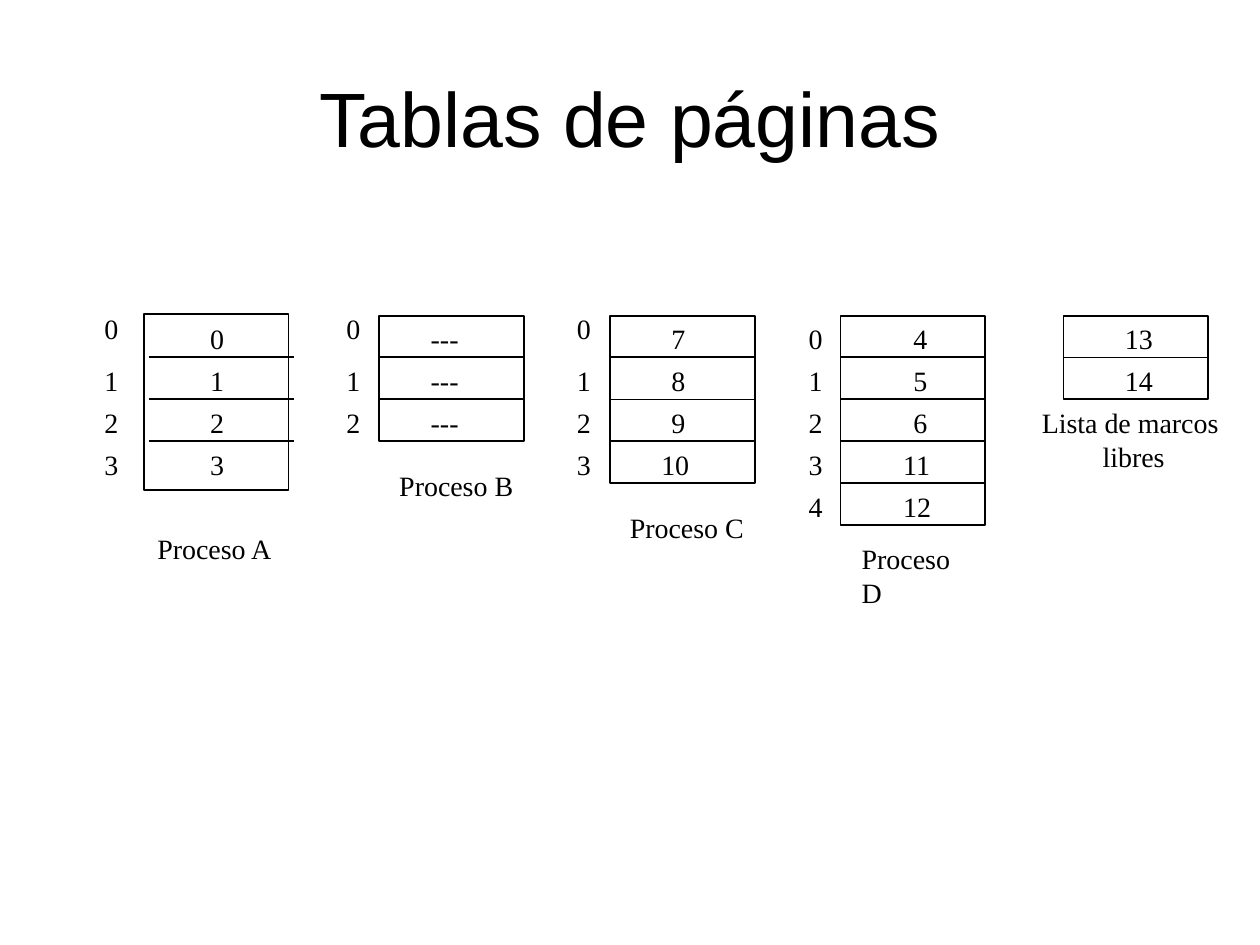
from lxml import etree
from pptx import Presentation
from pptx.dml.color import RGBColor
from pptx.enum.shapes import MSO_CONNECTOR, MSO_SHAPE
from pptx.enum.text import MSO_ANCHOR, MSO_AUTO_SIZE, PP_ALIGN
from pptx.oxml.ns import qn
from pptx.util import Inches, Pt

RECT, LINE = MSO_SHAPE.RECTANGLE, MSO_CONNECTOR.STRAIGHT
LEFT, MID = PP_ALIGN.LEFT, PP_ALIGN.CENTER
TOP, CENTER = MSO_ANCHOR.TOP, MSO_ANCHOR.MIDDLE
FIT, FIXED = MSO_AUTO_SIZE.SHAPE_TO_FIT_TEXT, MSO_AUTO_SIZE.NONE

TITLE = "Tablas de páginas"
TABLES = [
    dict(name="Proceso A", rows=["0", "1", "2", "3"], gap=0.45, lift=0.08,
         label=(-0.03, 4.17), box=(-0.04, 2.49, 1.4)),
    dict(name="Proceso B", rows=["---"] * 3, gap=0.36, lift=0.08,
         label=(0.06, 3.67)),
    dict(name="Proceso C", rows=["7", "8", "9", "10"], gap=0.36, lift=0.08,
         label=(0.06, 4)),
    dict(name="Proceso D", rows=["4", "5", "6", "11", "12"], gap=0.35, lift=0,
         label=(0.07, 4.25), shift=0.09),
    dict(name="Lista de marcos\n libres", rows=["13", "14"],
         label=(-0.27, 3.17), left=8.44, shift=0.08, size=(1.6, 0.63), align=MID),
]
COLORS = {"ink": "000000"}
INK = RGBColor.from_string(COLORS["ink"])
START, STEP, BASE, ROW, WIDE, HIGH = 1.18, 1.83, 2.5, 1 / 3, 1.15, 0.36

deck = Presentation()
deck.slide_width, deck.slide_height = Inches(10), Inches(7.5)
slide = deck.slides.add_slide(deck.slide_layouts[6])
shapes = slide.shapes


def write(text, x, y, w, h, size=16, font="Times New Roman", align=LEFT,
          anchor=TOP, wrap=False, fit=FIT):
    frame = shapes.add_textbox(*map(Inches, (x, y, w, h))).text_frame
    frame.word_wrap, frame.auto_size = wrap, fit
    frame.vertical_anchor = anchor
    frame.text = text
    for para in frame.paragraphs:
        para.alignment = align
        para.font.size, para.font.name = Pt(size), font
        para.font.color.rgb = INK


def frame_box(x, y, w, h):
    box = shapes.add_shape(RECT, *map(Inches, (x, y, w, h)))
    box.shadow.inherit = False
    box.fill.background()
    box.line.color.rgb, box.line.width = INK, Pt(1)
    return box


def rule(x, y):
    line = shapes.add_connector(LINE, *map(Inches, (x, y, x + WIDE, y)))
    line.line.color.rgb, line.line.width = INK, Pt(1)
    etree.SubElement(line._element.spPr, qn("a:effectLst"))
    return line


def draw(table, col):
    x = table.get("left", START + col * STEP)
    rows = table["rows"]
    count = len(rows)
    dx, top, high = table.get("box", (0, BASE + 0.01, count * ROW - 0.01))
    box = frame_box(x + dx, top, WIDE, high)
    for i, value in enumerate(rows):
        y = BASE + i * ROW
        if i:
            line = rule(x, y)
            if i * 2 == count and not dx:
                line.begin_connect(box, 1)
                line.end_connect(box, 3)
        if "gap" in table:
            rise = 0 if i else table["lift"]
            write(str(i), x - table["gap"], y - rise, 0.31, HIGH)
        inset, w = (0.39, 0.31) if len(value) == 1 else (0.31, 0.42)
        write(value, x + inset + table.get("shift", 0), y, w, HIGH)
    dx, y = table["label"]
    w, h = table.get("size", (1.11, HIGH))
    write(table["name"], x + dx, y, w, h, align=table.get("align", LEFT))


write(TITLE, 0.5, 0.3, 9, 1.25, size=44, font="Arial", align=MID,
      anchor=CENTER, wrap=True, fit=FIXED)
for col, table in enumerate(TABLES):
    draw(table, col)
deck.save("out.pptx")
